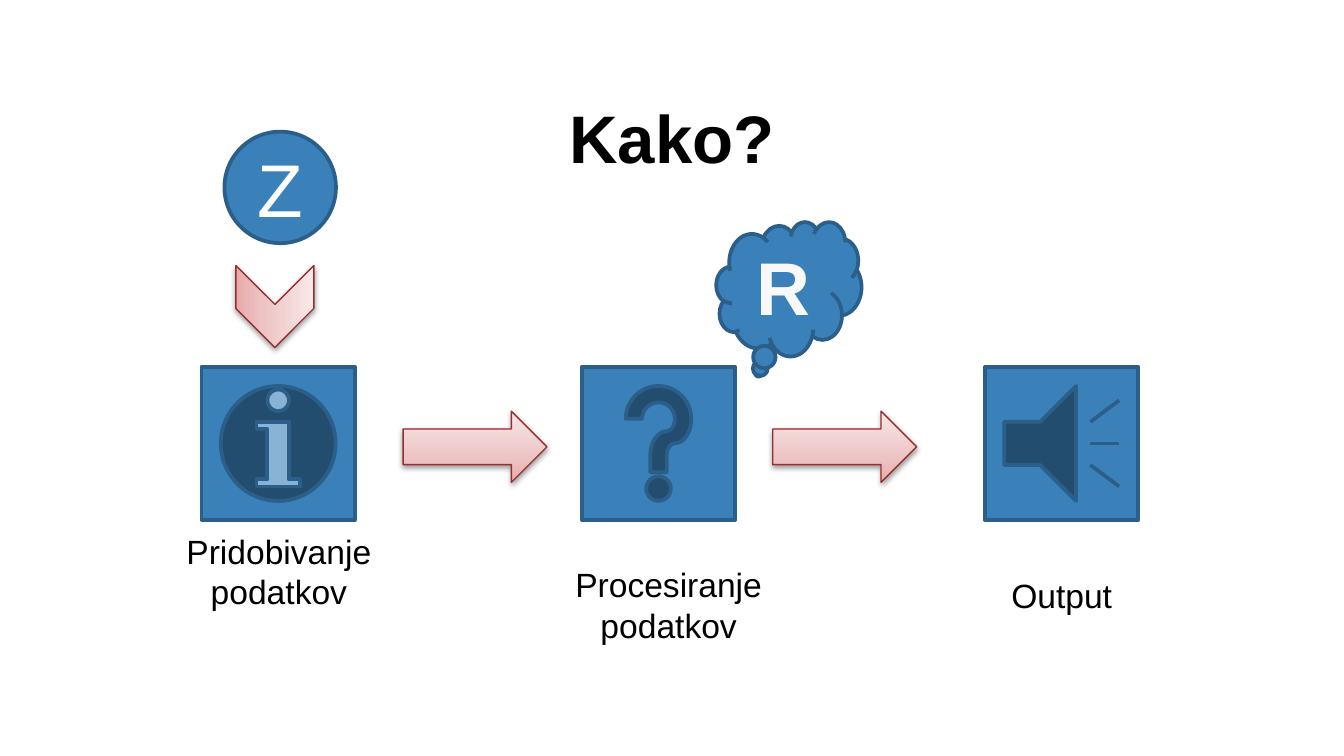
from lxml import etree
from pptx import Presentation
from pptx.dml.color import RGBColor
from pptx.enum.shapes import MSO_SHAPE as SHAPE
from pptx.enum.text import MSO_ANCHOR as ANCHOR, MSO_AUTO_SIZE as AUTO_SIZE, PP_ALIGN as ALIGN
from pptx.oxml import parse_xml
from pptx.oxml.ns import nsdecls, qn
from pptx.util import Inches, Pt

COLORS = {
    "blue": "3A81BA", "blue_edge": "2B5F8A", "red_edge": "952F30",
    "black": "000000", "white": "FFFFFF", "off_white": "F8F8F8",
}
PINK_STOPS = [(0, "E8AAAA"), (35, "EDC4C4"), (100, "F9E8E8")]
STEP_TOP, STEP_SIZE = 2.73, 1.14


def rgb(name):
    return RGBColor.from_string(COLORS[name])


def style_text(frame, size, color, bold=False):
    for paragraph in frame.paragraphs:
        paragraph.alignment = ALIGN.CENTER
        font = paragraph.font
        font.name, font.size, font.bold = "Arial", Pt(size), bold
        font.color.rgb = rgb(color)


def add_title(slide, text):
    title = slide.shapes.title
    title.left, title.top = Inches(0.5), Inches(0.48)
    title.width, title.height = Inches(9), Inches(0.94)
    frame = title.text_frame
    frame.text = text
    frame.vertical_anchor = ANCHOR.BOTTOM
    frame.margin_left = frame.margin_right = Inches(0.1)
    frame.margin_top = frame.margin_bottom = Inches(0.1)
    style_text(frame, 36, "black", bold=True)


def add_outlined(slide, kind, box, edge, weight):
    shape = slide.shapes.add_shape(kind, *map(Inches, box))
    shape.shadow.inherit = False
    shape.line.color.rgb = rgb(edge)
    shape.line.width = Pt(weight)
    return shape


def add_blue(slide, kind, box):
    shape = add_outlined(slide, kind, box, "blue_edge", 2)
    shape.fill.solid()
    shape.fill.fore_color.rgb = rgb("blue")
    return shape


def add_badge(slide, kind, box, letter, color, bold=False, spacing=0):
    """Blue shape with one large letter; spacing is in points."""
    frame = add_blue(slide, kind, box).text_frame
    frame.text = letter
    frame.vertical_anchor = ANCHOR.MIDDLE
    style_text(frame, 40, color, bold)
    if spacing:
        run = frame.paragraphs[0].runs[0]
        run.font._element.set("spc", str(int(spacing * 100)))


def add_pink_arrow(slide, kind, box, rotation=0):
    """Arrow with an upward pink gradient and a soft shadow below."""
    arrow = add_outlined(slide, kind, box, "red_edge", 0.75)
    arrow.rotation = rotation
    stops = "".join(
        f'<a:gs pos="{pos * 1000}"><a:srgbClr val="{color}"/></a:gs>'
        for pos, color in PINK_STOPS)
    properties = arrow._element.spPr
    properties.find(qn("a:prstGeom")).addnext(parse_xml(
        f'<a:gradFill {nsdecls("a")} rotWithShape="1"><a:gsLst>{stops}</a:gsLst>'
        '<a:lin ang="16200000" scaled="0"/></a:gradFill>'))
    shadow = etree.SubElement(
        properties.find(qn("a:effectLst")), qn("a:outerShdw"),
        blurRad=str(Pt(3.1)), dist=str(Pt(1.6)), dir="5400000", rotWithShape="0")
    color = etree.SubElement(shadow, qn("a:srgbClr"), val=COLORS["black"])
    etree.SubElement(color, qn("a:alpha"), val="38000")


def add_label(slide, text, box, wrap=False):
    frame = slide.shapes.add_textbox(*map(Inches, box)).text_frame
    frame.text = text
    frame.word_wrap = wrap
    frame.auto_size = AUTO_SIZE.SHAPE_TO_FIT_TEXT
    style_text(frame, 18, "black")


def main():
    deck = Presentation()
    deck.slide_width = Inches(10)
    deck.slide_height = deck.slide_width * 9 // 16
    slide = deck.slides.add_slide(deck.slide_layouts[5])
    add_title(slide, "Kako?")

    steps = [
        (SHAPE.ACTION_BUTTON_INFORMATION, 1.5,
         "Pridobivanje\npodatkov", (1, 3.9, 2.15, 0.94), False),
        (SHAPE.ACTION_BUTTON_HELP, 4.33,
         "Procesiranje podatkov", (4.08, 4.15, 1.79, 0.94), True),
        (SHAPE.ACTION_BUTTON_SOUND, 7.33,
         "Output", (7.42, 4.23, 0.96, 0.4), False),
    ]
    for icon, left, label, label_box, wrap in steps:
        add_blue(slide, icon, (left, STEP_TOP, STEP_SIZE, STEP_SIZE))
        add_label(slide, label, label_box, wrap)

    for left in (3, 5.75):
        add_pink_arrow(slide, SHAPE.RIGHT_ARROW, (left, 3.06, 1.07, 0.53))
    add_badge(slide, SHAPE.FLOWCHART_CONNECTOR, (1.67, 0.98, 0.83, 0.83), "Z", "white")
    add_pink_arrow(slide, SHAPE.CHEVRON, (1.74, 1.99, 0.61, 0.58), rotation=90)
    add_badge(slide, SHAPE.CLOUD_CALLOUT, (5.33, 1.65, 1.08, 1), "R", "off_white",
              bold=True, spacing=1.5)
    deck.save("out.pptx")


if __name__ == "__main__":
    main()
